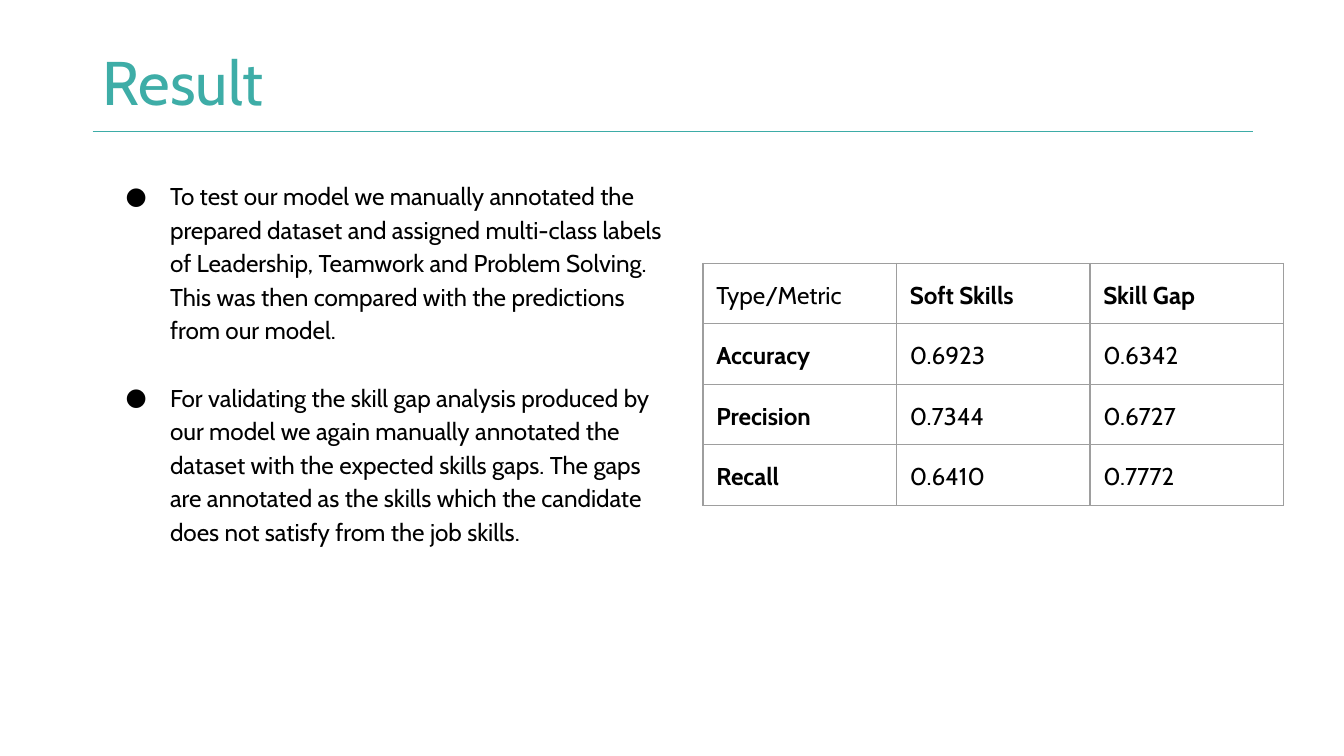
import lxml.etree
import pptx
import pptx.dml.color
import pptx.enum.shapes
import pptx.enum.text
import pptx.oxml.ns
import pptx.util

Inches = pptx.util.Inches
Pt = pptx.util.Pt
qn = pptx.oxml.ns.qn

TITLE = "Result"
FINDINGS = [
    "To test our model we manually annotated the prepared dataset and assigned "
    "multi-class labels of Leadership, Teamwork and Problem Solving. This was then "
    "compared with the predictions from our model.",
    "For validating the skill gap analysis produced by our model we again manually "
    "annotated the dataset with the expected skills gaps. The gaps are annotated as "
    "the skills which the candidate does not satisfy from the job skills.",
]
METRICS = [
    ("Type/Metric", "Soft Skills", "Skill Gap"),
    ("Accuracy", "0.6923", "0.6342"),
    ("Precision", "0.7344", "0.6727"),
    ("Recall", "0.6410", "0.7772"),
]
FONT = "Cabin"
BODY_SIZE = 13
BLACK, TEAL, RULE, GRID = "000000", "3EADA7", "3DACA7", "9E9E9E"
LEFT = 0.69
COLUMN_WIDTH, ROW_HEIGHT = 1.44, 0.45


def color(value):
    return pptx.dml.color.RGBColor.from_string(value)


def write(paragraph, text, size=BODY_SIZE, fill=BLACK, bold=False, spacing=1.15):
    run = paragraph.add_run()
    run.text = text
    run.font.name = FONT
    run.font.size = Pt(size)
    run.font.bold = bold
    run.font.color.rgb = color(fill)
    paragraph.line_spacing = spacing


def add_text_frame(slide, left, top, width, height, top_inset=0.04):
    box = slide.shapes.add_textbox(*map(Inches, (left, top, width, height)))
    frame = box.text_frame
    frame.word_wrap = True
    frame.margin_left = frame.margin_right = Pt(5.4)
    frame.margin_top, frame.margin_bottom = Inches(top_inset), Inches(0.04)
    return frame


def add_bullet(paragraph):
    properties = paragraph._p.get_or_add_pPr()
    properties.set("marL", str(Inches(0.5)))
    properties.set("indent", str(Inches(-0.33)))
    bullet_color = lxml.etree.SubElement(properties, qn("a:buClr"))
    lxml.etree.SubElement(bullet_color, qn("a:srgbClr"), val=BLACK)
    lxml.etree.SubElement(properties, qn("a:buSzPts"), val=str(BODY_SIZE * 100))
    lxml.etree.SubElement(properties, qn("a:buFont"), typeface=FONT)
    lxml.etree.SubElement(properties, qn("a:buChar"), char="●")


def add_borders(cell):
    properties = cell._tc.get_or_add_tcPr()
    for index, side in enumerate(("a:lnL", "a:lnR", "a:lnT", "a:lnB")):
        border = lxml.etree.Element(qn(side), w=str(Pt(0.75)))
        fill = lxml.etree.SubElement(border, qn("a:solidFill"))
        lxml.etree.SubElement(fill, qn("a:srgbClr"), val=GRID)
        properties.insert(index, border)


def add_rule(slide):
    rule = slide.shapes.add_connector(
        pptx.enum.shapes.MSO_CONNECTOR.STRAIGHT,
        Inches(LEFT), Inches(0.98), Inches(9.32), Inches(0.98))
    rule.line.color.rgb = color(RULE)
    rule.line.width = Pt(0.75)
    lxml.etree.SubElement(rule._element.spPr, qn("a:effectLst"))


def add_findings(slide):
    frame = add_text_frame(slide, LEFT, 1.07, 4.31, 3.57, top_inset=0.25)
    for index, finding in enumerate(FINDINGS):
        paragraph = frame.add_paragraph() if index else frame.paragraphs[0]
        write(paragraph, finding)
        paragraph.space_before = Pt(18 if index else 0)
        add_bullet(paragraph)


def add_title(slide):
    frame = add_text_frame(slide, LEFT, 0.3, 7.75, 0.68)
    frame.vertical_anchor = pptx.enum.text.MSO_ANCHOR.MIDDLE
    write(frame.paragraphs[0], TITLE, size=33, fill=TEAL, spacing=0.9)


def add_metrics(slide):
    rows, columns = len(METRICS), len(METRICS[0])
    table = slide.shapes.add_table(
        rows, columns, Inches(5.23), Inches(1.96),
        Inches(columns * COLUMN_WIDTH), Inches(rows * ROW_HEIGHT)).table
    table.first_row = table.horz_banding = False
    for row_index, values in enumerate(METRICS):
        for column_index, value in enumerate(values):
            cell = table.cell(row_index, column_index)
            cell.margin_left = cell.margin_right = Inches(0.1)
            cell.margin_top = cell.margin_bottom = Inches(0.1)
            cell.fill.background()
            add_borders(cell)
            is_heading = (row_index == 0) != (column_index == 0)
            write(cell.text_frame.paragraphs[0], value, bold=is_heading)


def main():
    presentation = pptx.Presentation()
    presentation.slide_width = Inches(10)
    presentation.slide_height = presentation.slide_width * 9 // 16
    slide = presentation.slides.add_slide(presentation.slide_layouts[6])
    add_rule(slide)
    add_findings(slide)
    add_title(slide)
    add_metrics(slide)
    presentation.save("out.pptx")


if __name__ == "__main__":
    main()
